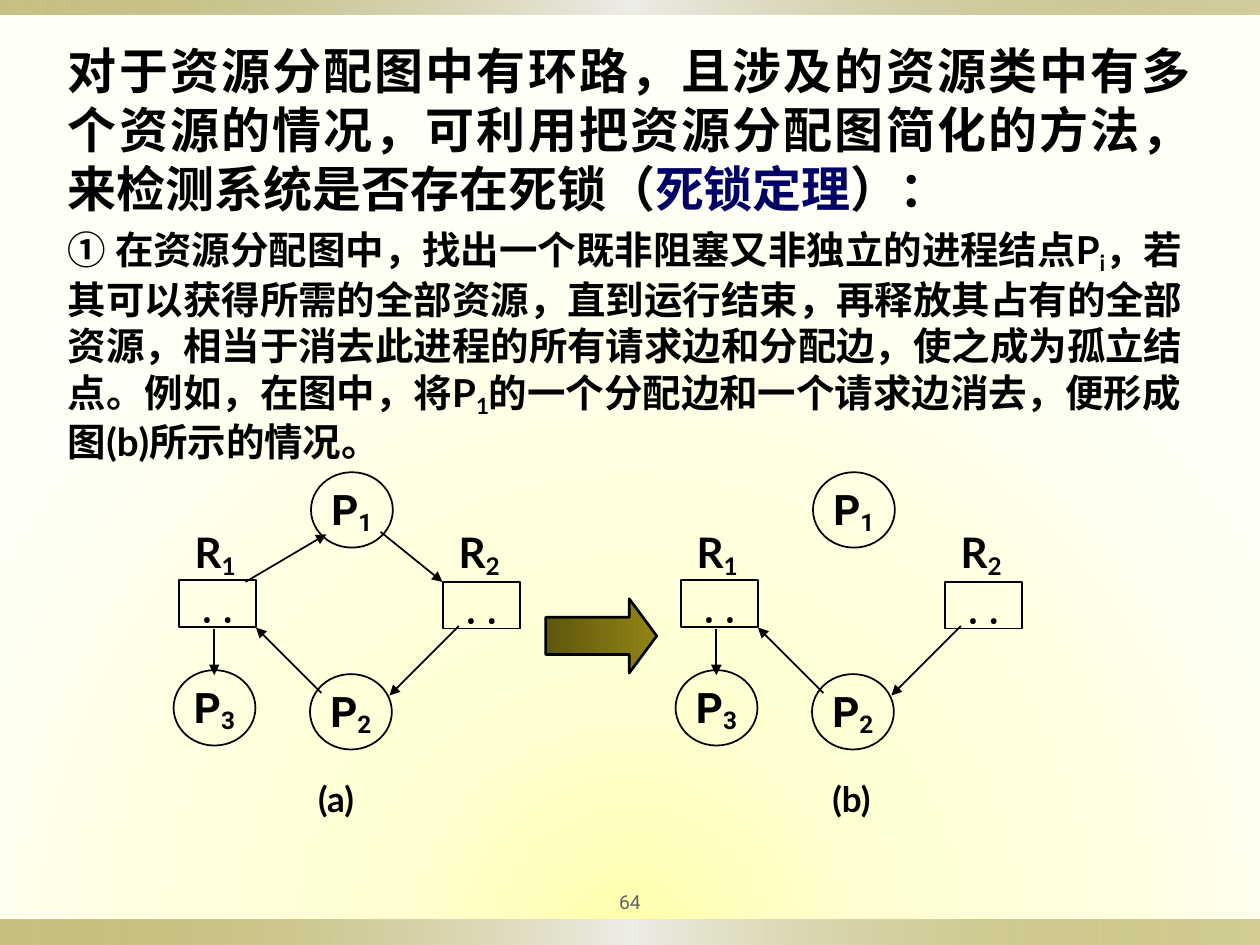
"""Build the slide on reducing a resource allocation graph."""
from dataclasses import dataclass

from lxml import etree
from pptx import Presentation
from pptx.dml.color import RGBColor
from pptx.enum.shapes import MSO_CONNECTOR, MSO_SHAPE
from pptx.enum.text import MSO_ANCHOR, PP_ALIGN
from pptx.oxml.ns import qn
from pptx.util import Cm, Pt

RECT, OVAL, ARROW = MSO_SHAPE.RECTANGLE, MSO_SHAPE.OVAL, MSO_SHAPE.RIGHT_ARROW
LINE = MSO_CONNECTOR.STRAIGHT
LEFT, MID, FULL = PP_ALIGN.LEFT, PP_ALIGN.CENTER, PP_ALIGN.JUSTIFY
TOP, CENTER = MSO_ANCHOR.TOP, MSO_ANCHOR.MIDDLE


@dataclass(frozen=True)
class Theme:
    ink: str = "000000"
    navy: str = "000066"
    gray: str = "636363"
    olive: str = "918415"
    dark: str = "5F570E"
    pale: str = "EEEDE8"
    glow: tuple = ((0, "FFFFAC", 100), (31, "FFFFD2", 100), (100, "FFFFF7", 100))
    body: str = "Lato"
    sans: str = "Roboto"
    head: int = 28
    node: int = 24
    text: int = 22
    label: int = 20
    page: int = 11


def shade(root, stops, round=False):
    grad = root.find(".//" + qn("a:gradFill"))
    for kid in list(grad):
        grad.remove(kid)
    group = etree.SubElement(grad, qn("a:gsLst"))
    for pos, color, alpha in stops:
        stop = etree.SubElement(group, qn("a:gs"), pos=str(pos * 1000))
        tint = etree.SubElement(stop, qn("a:srgbClr"), val=color)
        if alpha < 100:
            etree.SubElement(tint, qn("a:alpha"), val=str(alpha * 1000))
    if round:
        way = etree.SubElement(grad, qn("a:path"))
        way.set("path", "circle")
        etree.SubElement(way, qn("a:fillToRect"), l="50000", t="150000", r="50000", b="0")
    else:
        etree.SubElement(grad, qn("a:lin"), ang="0", scaled="0")


class Board:
    def __init__(self, slide, theme):
        self.slide, self.theme = slide, theme

    def back(self):
        self.slide.background.fill.gradient()
        shade(self.slide.element, self.theme.glow, True)

    def put(self, para, parts, size, font=None, align=MID, bold=True):
        para.alignment = align
        for text, base, color in parts:
            run = para.add_run()
            run.text = text
            run.font.name = font or self.theme.body
            run.font.size = Pt(size)
            run.font.bold = bold
            run.font.color.rgb = RGBColor.from_string(color)
            if base:
                run.font._element.set("baseline", str(base * 1000))

    def name(self, text):
        ink = self.theme.ink
        return [(text[0], 0, ink), (text[1:], -16, ink)]

    def box(self, x, y, w, h):
        frame = self.slide.shapes.add_textbox(Cm(x), Cm(y), Cm(w), Cm(h)).text_frame
        frame.word_wrap = True
        return frame

    def label(self, x, y, w, h, parts, size):
        self.put(self.box(x, y, w, h).paragraphs[0], parts, size)

    def shape(self, kind, x, y, w, h, stops=None, width=0):
        item = self.slide.shapes.add_shape(kind, Cm(x), Cm(y), Cm(w), Cm(h))
        item.shadow.inherit = False
        if stops:
            item.fill.gradient()
            shade(item._element, stops)
        else:
            item.fill.background()
        if width:
            item.line.color.rgb = RGBColor.from_string(self.theme.ink)
            item.line.width = Pt(width)
        else:
            item.line.fill.background()
        return item

    def node(self, kind, x, y, w, h, parts, anchor, inset):
        frame = self.shape(kind, x, y, w, h, width=1).text_frame
        frame.word_wrap = False
        frame.vertical_anchor = anchor
        frame.margin_left = frame.margin_right = Cm(0.15)
        frame.margin_top, frame.margin_bottom = Cm(inset), Cm(0.03)
        self.put(frame.paragraphs[0], parts, self.theme.node, self.theme.sans)

    def task(self, x, y, text):
        self.node(OVAL, x, y, 1.65, 1.52, self.name(text), CENTER, 0.03)

    def store(self, x, y, text):
        self.node(RECT, x, y, 1.55, 0.94, [("•  •", -16, self.theme.ink)], TOP, 0)
        self.label(x - 0.39, 10.49, 2.24, 1.27, self.name(text), self.theme.node)

    def edge(self, x1, y1, x2, y2):
        link = self.slide.shapes.add_connector(LINE, Cm(x1), Cm(y1), Cm(x2), Cm(y2))
        link.line.color.rgb = RGBColor.from_string(self.theme.ink)
        link.line.width = Pt(1)
        props = link._element.spPr
        etree.SubElement(props.find(qn("a:ln")), qn("a:tailEnd"), type="triangle")
        etree.SubElement(props, qn("a:effectLst"))

    def graph(self, dx, mark, dm, links):
        self.label(5.44 + dm, 15.55, 2.67, 1.09, [(mark, 0, self.theme.ink)], self.theme.label)
        for x, y, text in ((6.27, 9.52, "P1"), (6.25, 13.59, "P2"), (3.5, 13.51, "P3")):
            self.task(x + dx, y, text)
        for x, y, text in ((3.61, 11.7, "R1"), (8.93, 11.73, "R2")):
            self.store(x + dx, y, text)
        for x1, y1, x2, y2 in links:
            self.edge(x1 + dx, y1, x2 + dx, y2)


def main():
    deck = Presentation()
    deck.slide_width, deck.slide_height = Cm(25.4), Cm(19.05)
    look = Theme()
    board = Board(deck.slides.add_slide(deck.slide_layouts[6]), look)
    board.back()
    band = ((0, look.olive, 50), (50, look.pale, 100), (100, look.olive, 40))
    for y, h in ((18.54, 0.51), (0, 0.3)):
        board.shape(RECT, 0, y, 25.4, h, band)

    foot = board.box(11.43, 17.78, 2.54, 0.8)
    foot.vertical_anchor = CENTER
    foot.margin_left = foot.margin_right = Cm(0.13)
    board.put(foot.paragraphs[0], [("64", 0, look.gray)], look.page, look.sans, bold=False)

    ink = look.ink
    body = board.box(1.12, 0.69, 23.14, 8.71)
    board.put(body.paragraphs[0], [
        ("对于资源分配图中有环路，且涉及的资源类中有多个资源的情况，"
         "可利用把资源分配图简化的方法，来检测系统是否存在死锁（", 0, ink),
        ("死锁定理", 0, look.navy),
        ("）：", 0, ink)], look.head, align=FULL)
    step = body.add_paragraph()
    step.space_before = Pt(5.5)
    board.put(step, [
        ("① 在资源分配图中，找出一个既非阻塞又非独立的进程结点P", 0, ink),
        ("i", -18, ink),
        ("，若其可以获得所需的全部资源，直到运行结束，再释放其占有的全部资源，"
         "相当于消去此进程的所有请求边和分配边，使之成为孤立结点。"
         "例如，在图中，将P", 0, ink),
        ("1", -18, ink),
        ("的一个分配边和一个请求边消去，便形成图(b)所示的情况。", 0, ink)],
        look.text, align=LEFT)

    kept = [(4.32, 12.67, 4.32, 13.61), (6.48, 13.97, 5.16, 12.65), (9.25, 12.62, 7.85, 14.02)]
    cut = [(4.95, 11.73, 6.58, 10.77), (7.67, 10.72, 8.92, 11.73)]
    board.graph(0, "(a)", 0, cut + kept)
    board.graph(10.12, "(b)", 10.39, kept)

    arrow = board.shape(ARROW, 11, 12.07, 2.24, 1.5,
                        ((0, look.dark, 100), (100, look.olive, 100)), 1.5)
    arrow.adjustments[0], arrow.adjustments[1] = 0.5, 0.37
    deck.save("out.pptx")


if __name__ == "__main__":
    main()
